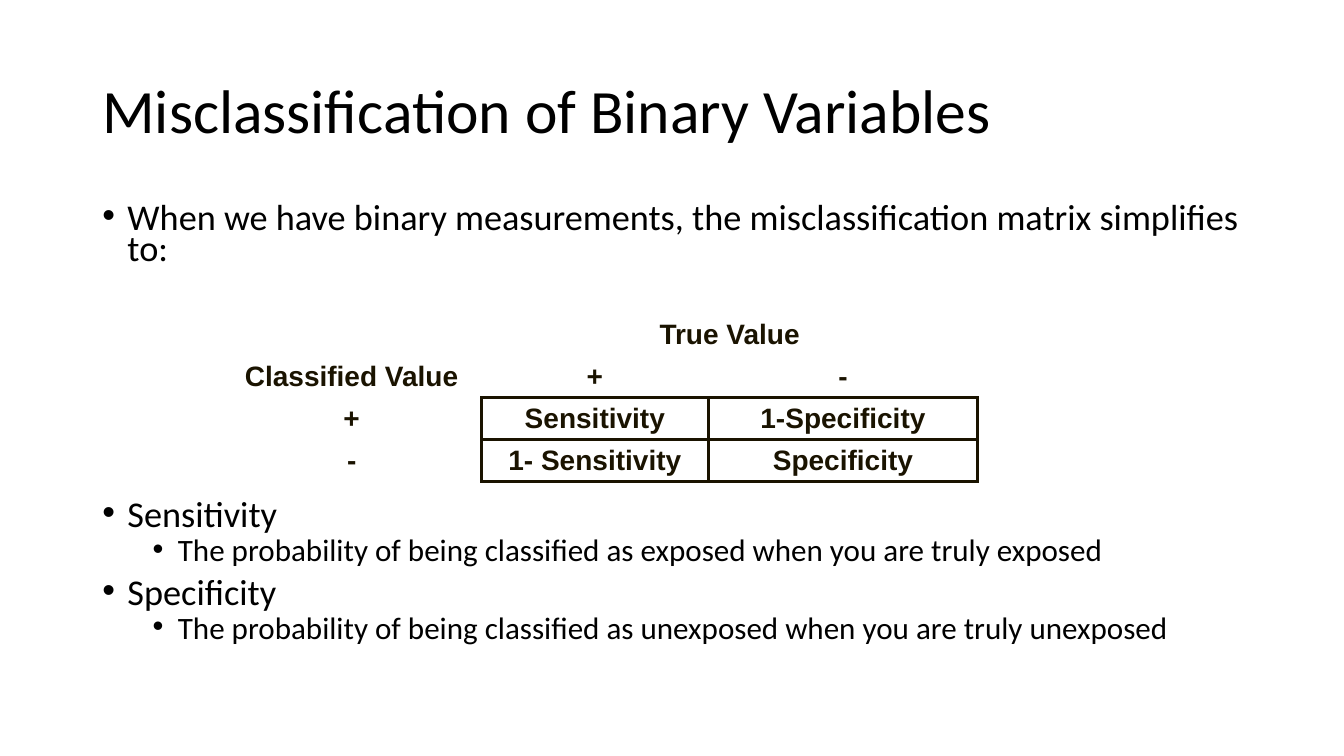
"""Build the slide on misclassification of binary variables."""
from lxml import etree
from pptx import Presentation
from pptx.dml.color import RGBColor
from pptx.enum import text
from pptx.oxml import ns
from pptx.util import Pt

BLACK = RGBColor(0x00, 0x00, 0x00)
INK = RGBColor(0x1A, 0x13, 0x00)
NO_STYLE = "{2D5ABB26-0587-4C30-8999-92F81FD0307C}"


def add_run(p, words, size, font, color, bold=False):
    r = p.add_run()
    r.text = words
    r.font.size, r.font.name, r.font.bold = Pt(size), font, bold
    r.font.color.rgb = color


def add_border(cell, side):
    ln = etree.SubElement(cell._tc.get_or_add_tcPr(), ns.qn(f"a:ln{side}"), w=str(Pt(2.25)))
    fill = etree.SubElement(ln, ns.qn("a:solidFill"))
    etree.SubElement(fill, ns.qn("a:srgbClr"), val=str(INK))


prs = Presentation()
prs.slide_width, prs.slide_height = Pt(960), Pt(540)
s = prs.slides.add_slide(prs.slide_layouts[6])

tf = s.shapes.add_textbox(Pt(66), Pt(28.8), Pt(828), Pt(104.4)).text_frame
tf.word_wrap = True
tf.vertical_anchor = text.MSO_ANCHOR.MIDDLE
p = tf.paragraphs[0]
p.line_spacing = 0.9
add_run(p, "Misclassification of Binary Variables", 44, "Calibri", BLACK)

bullets = [
    (0, 0, "When we have binary measurements, the misclassification matrix simplifies to:"),
    (0, 168.6, "Sensitivity"),
    (1, 5, "The probability of being classified as exposed when you are truly exposed"),
    (0, 10, "Specificity"),
    (1, 5, "The probability of being classified as unexposed when you are truly unexposed"),
]
tf = s.shapes.add_textbox(Pt(66), Pt(144), Pt(828), Pt(342.6)).text_frame
tf.word_wrap = True
for i, (level, before, words) in enumerate(bullets):
    p = tf.add_paragraph() if i else tf.paragraphs[0]
    p.level, p.line_spacing, p.space_before = level, 0.7, Pt(before)
    pPr = p._p.get_or_add_pPr()
    pPr.set("marL", str(Pt(18 + 36 * level)))
    pPr.set("indent", str(-Pt(18)))
    etree.SubElement(pPr, ns.qn("a:buFont"), typeface="Arial")
    etree.SubElement(pPr, ns.qn("a:buChar"), char="•")
    add_run(p, words, 22.2 if level else 25.9, "Calibri", BLACK)

rows = [
    ["", "True Value", ""],
    ["Classified Value", "+", "-"],
    ["+", "Sensitivity", "1-Specificity"],
    ["-", "1- Sensitivity", "Specificity"],
    ["", "", ""],
]
widths = [185.6, 161.9, 192.6]
heights = [29.7] * 4 + [40.3]
frame = s.shapes.add_table(5, 3, Pt(158.4), Pt(223.9), Pt(sum(widths)), Pt(sum(heights)))
table = frame.table
table.first_row = table.horz_banding = False
table._tbl.tblPr.find(ns.qn("a:tableStyleId")).text = NO_STYLE
for column, width in zip(table.columns, widths):
    column.width = Pt(width)
for row, height in zip(table.rows, heights):
    row.height = Pt(height)
table.cell(0, 1).merge(table.cell(0, 2))

for i, row in enumerate(rows):
    for j, words in enumerate(row):
        cell = table.cell(i, j)
        cell.vertical_anchor = text.MSO_ANCHOR.MIDDLE
        cell.margin_top = cell.margin_bottom = Pt(3)
        if i in (2, 3) and j > 0:
            for side in "LRTB":
                add_border(cell, side)
        cell.fill.background()
        if words:
            p = cell.text_frame.paragraphs[0]
            p.alignment = text.PP_ALIGN.CENTER
            add_run(p, words, 20, "Arial", INK, True)

prs.save("out.pptx")
